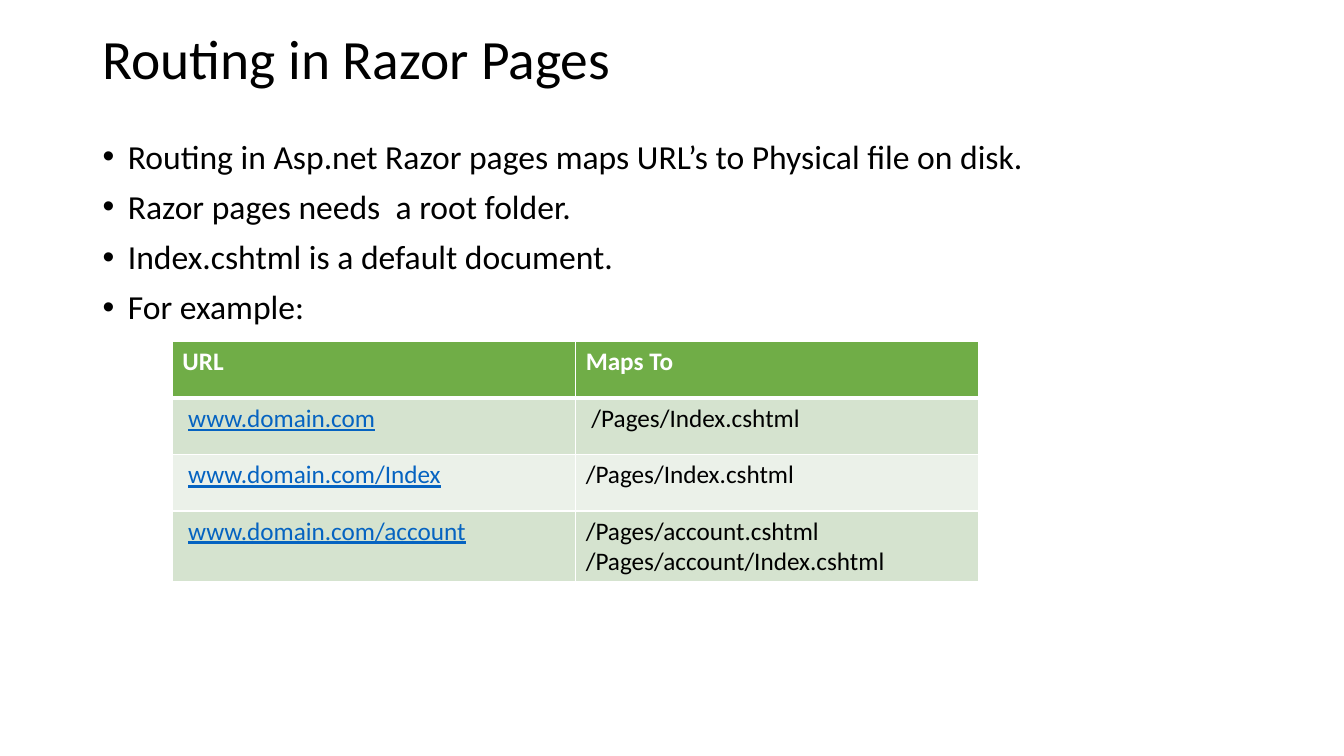
from lxml.etree import SubElement
from pptx import Presentation
from pptx.dml.color import RGBColor
from pptx.enum.text import MSO_ANCHOR
from pptx.oxml.ns import qn
from pptx.util import Inches, Pt

# Content
TITLE = "Routing in Razor Pages"
POINTS = [
    "Routing in Asp.net Razor pages maps URL’s to Physical file on disk.",
    "Razor pages needs  a root folder.",
    "Index.cshtml is a default document.",
    "For example:",
]
HEADINGS = ["URL", "Maps To"]
ROUTES = [
    ("www.domain.com", [" /Pages/Index.cshtml"]),
    ("www.domain.com/Index", ["/Pages/Index.cshtml"]),
    ("www.domain.com/account", ["/Pages/account.cshtml", "/Pages/account/Index.cshtml"]),
]
COLORS = {"text": "000000", "white": "FFFFFF", "link": "0563C1",
          "header": "70AD47", "odd": "D5E3CF", "even": "EBF1E9"}
FONT = "Calibri"

# Layout in inches
WIDTH, HEIGHT = 13.33, 7.5
LEFT = 0.92
TITLE_TOP, TITLE_HEIGHT = 0.4, 0.42
POINTS_TOP = 1.34
TABLE_LEFT, TABLE_TOP = 1.71, 3.39
COLUMN, ROW = 4, 0.56
INDENT = 0.25


def write(frame, lines, size=18, color="text", bold=False, underline=False,
          lead="", bullet=False, spacing=None, before=0):
    """Fill a text frame, one paragraph per line; lead is a plain prefix."""
    frame.word_wrap = True
    for index, line in enumerate(lines):
        paragraph = frame.paragraphs[0] if index == 0 else frame.add_paragraph()
        if bullet:
            properties = paragraph._p.get_or_add_pPr()
            properties.set("marL", str(Inches(INDENT)))
            properties.set("indent", str(-Inches(INDENT)))
            SubElement(properties, qn("a:buFont"), typeface="Arial")
            SubElement(properties, qn("a:buChar"), char="•")
        if spacing:
            paragraph.line_spacing = spacing
        if index and before:
            paragraph.space_before = Pt(before)
        for text, underlined in ((lead, False), (line, underline)):
            if not text:
                continue
            run = paragraph.add_run()
            run.text = text
            run.font.name, run.font.size = FONT, Pt(size)
            run.font.bold, run.font.underline = bold, underlined
            run.font.color.rgb = RGBColor.from_string(COLORS[color])


def paint(cell, fill, bottom=1):
    """Set a cell's fill and its white borders."""
    properties = cell._tc.get_or_add_tcPr()
    for side, points in (("L", 1), ("R", 1), ("T", 1), ("B", bottom)):
        border = SubElement(properties, qn(f"a:ln{side}"), w=str(Pt(points)))
        solid = SubElement(border, qn("a:solidFill"))
        SubElement(solid, qn("a:srgbClr"), val=COLORS["white"])
    cell.fill.solid()
    cell.fill.fore_color.rgb = RGBColor.from_string(COLORS[fill])


def main():
    deck = Presentation()
    deck.slide_width, deck.slide_height = Inches(WIDTH), Inches(HEIGHT)
    slide = deck.slides.add_slide(deck.slide_layouts[6])

    # Title
    title = slide.shapes.add_textbox(Inches(LEFT), Inches(TITLE_TOP),
                                     Inches(WIDTH - 2 * LEFT), Inches(TITLE_HEIGHT))
    title.text_frame.vertical_anchor = MSO_ANCHOR.MIDDLE
    write(title.text_frame, [TITLE], size=39.6, spacing=0.9)

    # Bullet points
    points = slide.shapes.add_textbox(Inches(LEFT), Inches(POINTS_TOP),
                                      Inches(WIDTH - LEFT), Inches(HEIGHT - POINTS_TOP))
    write(points.text_frame, POINTS, size=24, bullet=True, spacing=0.9, before=10)

    # Route table
    row_count, column_count = len(ROUTES) + 1, len(HEADINGS)
    routes = slide.shapes.add_table(
        row_count, column_count, Inches(TABLE_LEFT), Inches(TABLE_TOP),
        Inches(COLUMN * column_count), Inches(ROW * row_count)).table
    for column, heading in enumerate(HEADINGS):
        cell = routes.cell(0, column)
        paint(cell, "header", bottom=3)
        write(cell.text_frame, [heading], color="white", bold=True)
    for row, (url, files) in enumerate(ROUTES, start=1):
        for column in range(column_count):
            paint(routes.cell(row, column), "odd" if row % 2 else "even")
        write(routes.cell(row, 0).text_frame, [url], color="link", underline=True, lead=" ")
        write(routes.cell(row, 1).text_frame, files)

    deck.save("out.pptx")


if __name__ == "__main__":
    main()
